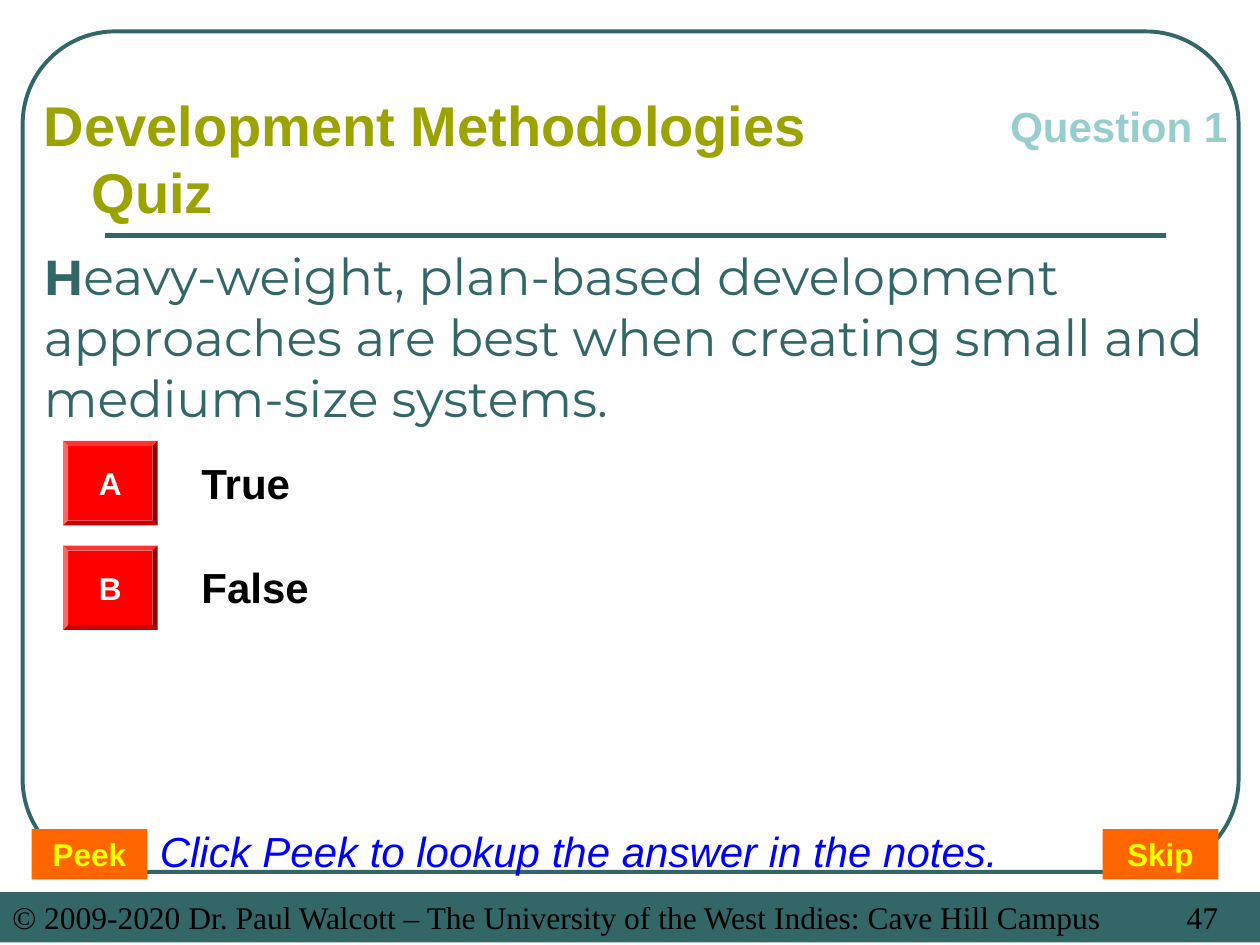
import pptx
import pptx.util
import pptx.dml.color
import pptx.enum.shapes
import pptx.enum.text
import pptx.oxml
import pptx.oxml.ns

PX = 9144
COLORS = {
    "teal": "336666", "olive": "9BA301", "aqua": "97CDCC", "red": "FF0000",
    "orange": "FF6600", "yellow": "FFFF00", "blue": "0000FF",
    "black": "000000", "white": "FFFFFF",
}
SHAPES = pptx.enum.shapes.MSO_SHAPE
CENTER = pptx.enum.text.PP_ALIGN.CENTER
MIDDLE = pptx.enum.text.MSO_ANCHOR.MIDDLE


def color(name):
    """Return the named colour."""
    return pptx.dml.color.RGBColor.from_string(COLORS[name])


def emu(*lengths):
    """Turn px lengths into EMU."""
    return [length * PX for length in lengths]


def add_runs(shape, runs, hanging=0, tab=0, alignment=None):
    """Write one paragraph of (text, colour, font format) runs."""
    paragraph = shape.text_frame.paragraphs[0]
    paragraph.alignment = alignment
    properties = paragraph._p.get_or_add_pPr()
    if hanging:
        properties.set("marL", str(hanging * PX))
        properties.set("indent", str(-hanging * PX))
    if tab:
        stops = pptx.oxml.ns.qn("a:tabLst")
        stop = properties.makeelement(pptx.oxml.ns.qn("a:tab"), {"pos": str(tab * PX), "algn": "l"})
        tab_list = properties.makeelement(stops, {})
        tab_list.append(stop)
        properties.append(tab_list)
    for text, color_name, font_format in runs:
        run = paragraph.add_run()
        run.text = text
        run.font.color.rgb = color(color_name)
        for name, value in ({"name": "Arial"} | font_format).items():
            setattr(run.font, name, pptx.util.Pt(value) if name == "size" else value)


def add_label(slide, box, runs, anchor=None, hanging=0):
    """Add a wrapping text box."""
    shape = slide.shapes.add_textbox(*emu(*box))
    shape.text_frame.word_wrap = True
    shape.text_frame.vertical_anchor = anchor
    add_runs(shape, runs, hanging)


def add_block(slide, kind, box, fill):
    """Add a filled shape without outline or shadow."""
    shape = slide.shapes.add_shape(kind, *emu(*box))
    shape.shadow.inherit = False
    shape.fill.solid()
    shape.fill.fore_color.rgb = color(fill)
    shape.line.fill.background()
    return shape


def add_frame(slide, box):
    """Draw the rounded border and the rule under the heading."""
    left, top, width, height = box
    border = slide.shapes.add_shape(SHAPES.ROUNDED_RECTANGLE, *emu(*box))
    border.adjustments[0] = 0.11
    border.shadow.inherit = False
    border.fill.background()
    rule = slide.shapes.add_connector(
        pptx.enum.shapes.MSO_CONNECTOR.STRAIGHT,
        *emu(left + 65, top + 162, left + width - 58, top + 162))
    rule._element.spPr.append(pptx.oxml.parse_xml(
        f'<a:effectLst {pptx.oxml.ns.nsdecls("a")}/>'))
    for shape, width_points in ((border, 2.25), (rule, 3)):
        shape.line.color.rgb = color("teal")
        shape.line.width = pptx.util.Pt(width_points)


def add_heading(slide, box):
    """Place the quiz name and the question number."""
    left, top, width, height = box
    add_label(slide, (left, top, 650, height),
              [("Development Methodologies Quiz", "olive", {"size": 32, "bold": True})], hanging=38)
    add_label(slide, (left + width - 208, top + 8, 208, 50),
              [("Question 1", "aqua", {"size": 24, "bold": True})])


def add_question(slide, box):
    """Place the statement to be judged."""
    add_label(slide, box, [
        ("H", "teal", {"name": "Montserrat", "size": 28, "bold": True}),
        ("eavy-weight, plan-based development approaches are best when creating "
         "small and medium-size systems.", "teal", {"name": "Montserrat", "size": 29}),
    ], MIDDLE)


def add_answer(slide, box, letter, answer):
    """Place a bevelled letter button with its answer."""
    left, top, width, height = box
    button = add_block(slide, SHAPES.BEVEL, (left, top, 75, height), "red")
    button.adjustments[0] = 0.06
    button.text_frame.word_wrap = False
    button.text_frame.vertical_anchor = MIDDLE
    add_runs(button, [(letter, "white", {"size": 18, "bold": True})], alignment=CENTER)
    add_label(slide, (left + 100, top + 8, width - 100, 50),
              [(answer, "black", {"size": 24, "bold": True})])


def add_controls(slide, box):
    """Place the two buttons and the hint between them."""
    left, top, width, height = box
    for text, button_left in (("Peek", left), ("Skip", left + width - 92)):
        button = add_block(slide, SHAPES.RECTANGLE, (button_left, top + 8, 92, 40), "orange")
        add_runs(button, [(text, "yellow", {"size": 18, "bold": True})], alignment=CENTER)
    add_label(slide, (left + 92, top, 717, height),
              [("Click Peek to lookup the answer in the notes.", "blue",
                {"size": 24, "italic": True})])


def add_footer(slide, box):
    """Draw the bottom bar with copyright line and page number."""
    bar = add_block(slide, SHAPES.RECTANGLE, box, "teal")
    text = "© 2009-2020 Dr. Paul Walcott – The University of the West Indies: Cave Hill Campus\t47"
    add_runs(bar, [(text, "black", {"name": "Times New Roman", "size": 18})],
             tab=932, alignment=pptx.enum.text.PP_ALIGN.LEFT)


def main():
    """Build the quiz slide."""
    presentation = pptx.Presentation()
    presentation.slide_width, presentation.slide_height = emu(1000, 750)
    slide = presentation.slides.add_slide(presentation.slide_layouts[6])
    add_frame(slide, (18, 25, 965, 667))
    add_footer(slide, (0, 708, 1000, 40))
    add_question(slide, (25, 192, 950, 150))
    for index, (letter, answer) in enumerate((("A", "True"), ("B", "False"))):
        add_answer(slide, (50, 350 + 83 * index, 925, 67), letter, answer)
    add_heading(slide, (25, 67, 975, 117))
    add_controls(slide, (25, 650, 942, 50))
    presentation.save("out.pptx")


if __name__ == "__main__":
    main()
